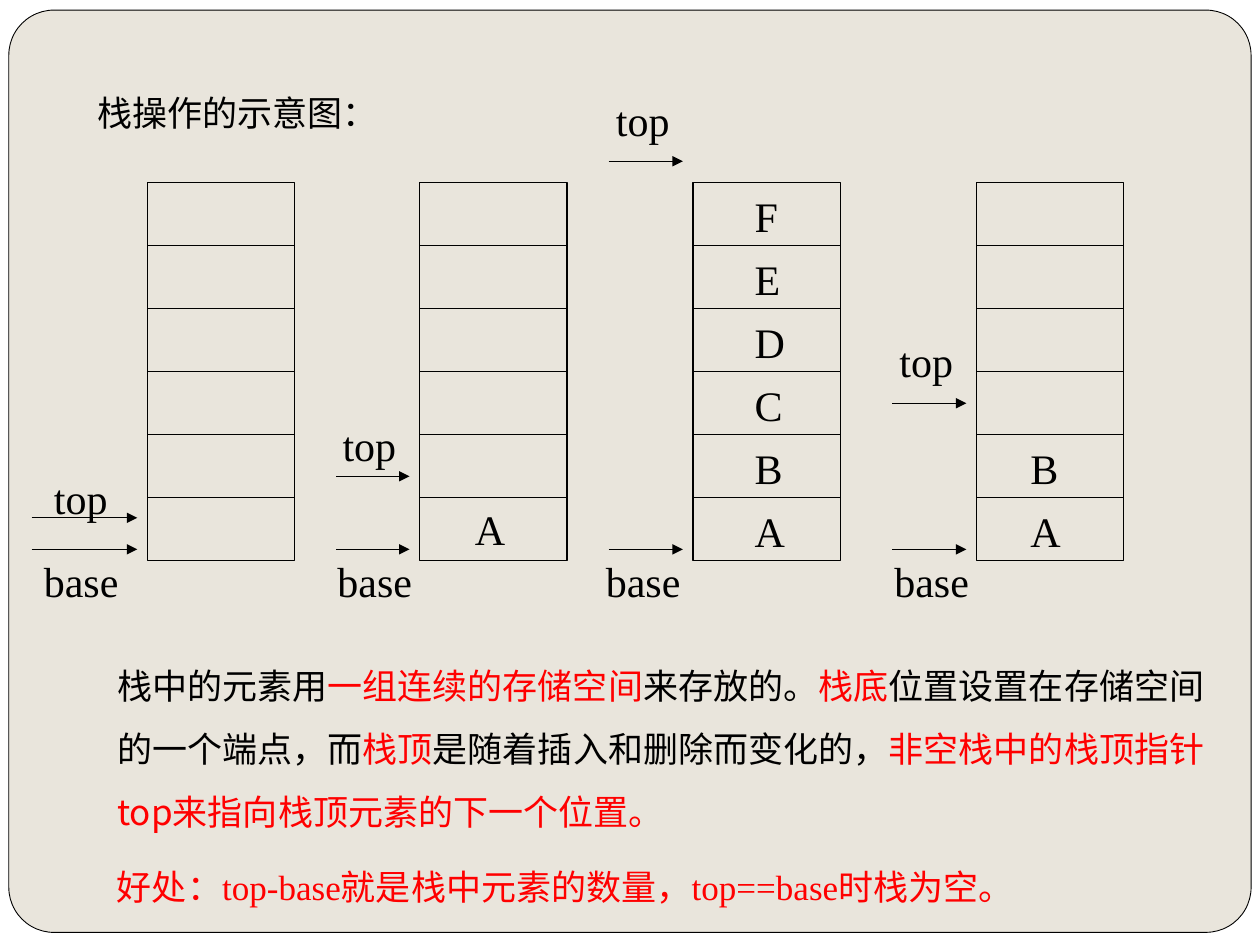
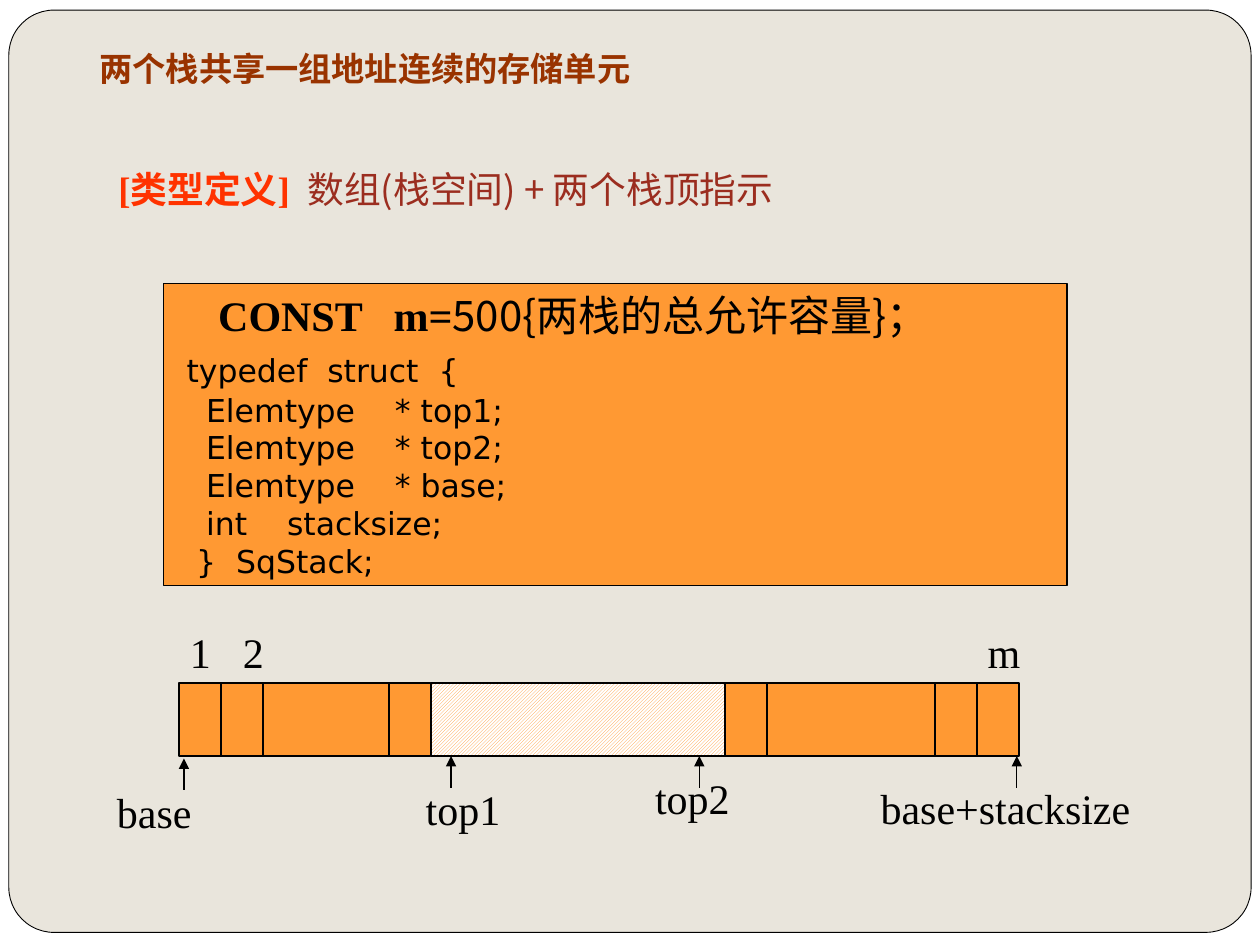
from lxml import etree
from pptx import Presentation
from pptx.dml.color import RGBColor
from pptx.enum.dml import MSO_PATTERN
from pptx.enum.shapes import MSO_CONNECTOR, MSO_SHAPE
from pptx.enum.text import MSO_ANCHOR, MSO_AUTO_SIZE, PP_ALIGN
from pptx.oxml.ns import qn
from pptx.util import Inches, Pt

RECTANGLE = MSO_SHAPE.RECTANGLE
ROUNDED = MSO_SHAPE.ROUNDED_RECTANGLE
STRAIGHT = MSO_CONNECTOR.STRAIGHT
TOP, MIDDLE = MSO_ANCHOR.TOP, MSO_ANCHOR.MIDDLE
HATCH = MSO_PATTERN.LIGHT_UPWARD_DIAGONAL
color = RGBColor.from_string

BLACK, WHITE, PAPER = "000000", "FFFFFF", "E9E5DC"
RED, ORANGE = "FF0000", "FF9933"
SERIF, CJK, CODE, HEADING = "Times New Roman", "Noto Sans CJK SC", "DejaVu Sans", "Roboto"


def write(shape, area, paragraphs, spacing=1.0, anchor=TOP, tab=None):
    shape.left, shape.top, shape.width, shape.height = [Inches(value) for value in area]
    frame = shape.text_frame
    frame.word_wrap = True
    frame.auto_size = MSO_AUTO_SIZE.NONE
    frame.vertical_anchor = anchor
    for index, spans in enumerate(paragraphs):
        para = frame.add_paragraph() if index else frame.paragraphs[0]
        properties = para._p.get_or_add_pPr()
        properties.set("marL", "0")
        properties.set("indent", "0")
        etree.SubElement(properties, qn("a:buNone"))
        if tab:
            tabs = etree.SubElement(properties, qn("a:tabLst"))
            etree.SubElement(tabs, qn("a:tab"), pos=str(Inches(tab)), algn="l")
        para.alignment = PP_ALIGN.LEFT
        para.line_spacing = spacing
        para.space_before = Pt(0)
        for text, size, typeface, ink, bold in spans:
            span = para.add_run()
            span.text = text
            span.font.size = Pt(size)
            span.font.name = typeface
            span.font.bold = bold
            span.font.color.rgb = color(ink)
            etree.SubElement(span.font._element, qn("a:ea"), typeface=CJK)


def add_line(shapes, start, end, arrow=False):
    line = shapes.add_connector(STRAIGHT, *[Inches(value) for value in start + end])
    line.line.color.rgb = color(BLACK)
    line.line.width = Pt(0.75)
    if arrow:
        etree.SubElement(line.line._get_or_add_ln(), qn("a:tailEnd"), type="triangle")
    etree.SubElement(line._element.spPr, qn("a:effectLst"))


deck = Presentation()
deck.slide_width, deck.slide_height = Inches(10), Inches(7.5)
layout = deck.slide_layouts[1]
master = deck.slide_master
master.background.fill.solid()
master.background.fill.fore_color.rgb = color(PAPER)

# The shared frame is drawn once and moved to the master.
stack_page = deck.slides.add_slide(layout)
for index, (kind, area, fill) in enumerate([
    (RECTANGLE, (0, 0, 10, 7.5), WHITE),
    (ROUNDED, (0.07, 0.08, 9.86, 7.32), PAPER),
]):
    panel = stack_page.shapes.add_shape(kind, *[Inches(value) for value in area])
    panel.shadow.inherit = False
    panel.fill.solid()
    panel.fill.fore_color.rgb = color(fill)
    if kind == ROUNDED:
        panel.adjustments[0] = 0.049
        panel.line.color.rgb = color(BLACK)
        panel.line.width = Pt(0.5)
    else:
        panel.line.fill.background()
    panel._element.nvSpPr.cNvPr.set("id", str(101 + index))
    master.shapes.element.insert(2 + index, panel._element)

write(stack_page.shapes.title, (0.67, 0.68, 2.76, 0.44),
      [[("栈操作的示意图：", 20, SERIF, BLACK, False)]])

explanation = [
    ("栈中的元素用", BLACK), ("一组连续的存储空间", RED), ("来存放的。", BLACK),
    ("栈底", RED), ("位置设置在存储空间的一个端点，而", BLACK), ("栈顶", RED),
    ("是随着插入和删除而变化的，", BLACK),
    ("非空栈中的栈顶指针top来指向栈顶元素的下一个位置。", RED),
]
write(stack_page.placeholders[1], (0.83, 5.06, 8.94, 1.61),
      [[(text, 20, CJK, ink, False) for text, ink in explanation]], spacing=1.5)

STACK_TOP, STACK_WIDTH, CELL_HEIGHT, CELLS = 1.45, 1.17, 0.5, 6
BASE_ARROW = 4.36
stacks = [
    (1.17, 0.25, 4.11, (0.33, 3.7), 0.25),
    (3.33, 2.67, 3.78, (2.62, 3.28), 2.58),
    (5.5, 4.83, 1.28, (4.79, 0.7), 4.71),
    (7.75, 7.08, 3.2, (7.04, 2.61), 7.0),
]
labels = []
for left, arrow_left, top_arrow, top_place, base_left in stacks:
    group = stack_page.shapes.add_group_shape()
    outline = group.shapes.add_shape(RECTANGLE, Inches(left), Inches(STACK_TOP),
                                     Inches(STACK_WIDTH), Inches(CELLS * CELL_HEIGHT))
    outline.shadow.inherit = False
    outline.fill.background()
    outline.line.color.rgb = color(BLACK)
    outline.line.width = Pt(0.75)
    for row in range(1, CELLS):
        y = STACK_TOP + row * CELL_HEIGHT
        add_line(group.shapes, (left, y), (left + STACK_WIDTH, y))
    for y in (top_arrow, BASE_ARROW):
        add_line(stack_page.shapes, (arrow_left, y), (left - 0.08, y), arrow=True)
    labels += [("top", *top_place, 0.75), ("base", base_left, BASE_ARROW, 0.9)]

for text, left, top, width in labels:
    write(stack_page.shapes.add_textbox(0, 0, 0, 0), (left, top, width, 0.5),
          [[(text, 24, SERIF, BLACK, False)]])

for letters, left, top, spacing in [
    ("A", 3.67, 3.95, 1.0), ("FEDCBA", 5.89, 1.36, 1.25), ("BA", 8.08, 3.36, 1.25),
]:
    write(stack_page.shapes.add_textbox(0, 0, 0, 0),
          (left, top, 0.5, CELL_HEIGHT * len(letters) + 0.1),
          [[(letter, 24, SERIF, BLACK, False)] for letter in letters], spacing=spacing)

write(stack_page.shapes.add_textbox(0, 0, 0, 0), (0.83, 6.82, 8.5, 0.44),
      [[("好处：top-base就是栈中元素的数量，top==base时栈为空。", 20, SERIF, RED, False)]])

shared_page = deck.slides.add_slide(layout)
write(shared_page.shapes.title, (0.69, 0.33, 8.69, 0.71),
      [[("两个栈共享一组地址连续的存储单元", 19, HEADING, "993300", True)]])
write(shared_page.placeholders[1], (0.84, 1.27, 8.41, 0.6),
      [[("[类型定义]\t", 21, SERIF, "FF3300", True),
        ("数组(栈空间) + 两个栈顶指示", 21, CJK, "9B2D1F", False)]], tab=1.85)

STRIP_LEFT, STRIP_TOP, STRIP_HEIGHT, UNIT = 1.42, 5.42, 0.58, 1 / 3
STRIP_BOTTOM = STRIP_TOP + STRIP_HEIGHT
code_area = (1.3, 2.25, 7.17, 2.4)
blocks = [(code_area, False)] + [
    ((STRIP_LEFT + first * UNIT, STRIP_TOP, (last - first) * UNIT, STRIP_HEIGHT), free)
    for first, last, free in [(0, 6, False), (6, 13, True), (13, 20, False)]
]
for area, free in blocks:
    block = shared_page.shapes.add_shape(RECTANGLE, *[Inches(value) for value in area])
    block.shadow.inherit = False
    block.line.color.rgb = color(BLACK)
    block.line.width = Pt(0.75)
    if free:
        block.fill.patterned()
        block.fill.pattern = HATCH
        block.fill.back_color.rgb = color(WHITE)
    else:
        block.fill.solid()
    block.fill.fore_color.rgb = color(ORANGE)
    if area == code_area:
        code_lines = [
            [("    ", 24, SERIF, BLACK, False), ("CONST   m=", 24, SERIF, BLACK, True),
             ("500{两栈的总允许容量}；", 24, CJK, BLACK, False)],
            [(" ", 24, SERIF, BLACK, True), ("typedef  struct  {", 18, CODE, BLACK, False)],
        ]
        code_lines += [[(text, 18, CODE, BLACK, False)] for text in (
            "   Elemtype    * top1;", "   Elemtype    * top2;", "   Elemtype    * base;",
            "   int    stacksize;", "  }  SqStack;")]
        write(block, area, code_lines, anchor=MIDDLE)

for unit in (1, 2, 5, 14, 18, 19):
    x = STRIP_LEFT + unit * UNIT
    add_line(shared_page.shapes, (x, STRIP_TOP), (x, STRIP_BOTTOM))

for x, bottom in [(1.46, 6.27), (3.58, 6.25), (5.55, 6.25), (8.07, 6.25)]:
    add_line(shared_page.shapes, (x, bottom), (x, bottom - 0.25), arrow=True)

for text, left, top, width in [
    ("1", 1.41, 4.92, 0.5), ("2", 1.83, 4.92, 0.5), ("m", 7.74, 4.92, 0.6),
    ("base", 0.83, 6.19, 1.17), ("top1", 3.28, 6.17, 1.17),
    ("top2", 5.1, 6.08, 1.08), ("base+stacksize", 6.89, 6.16, 2.52),
]:
    write(shared_page.shapes.add_textbox(0, 0, 0, 0), (left, top, width, 0.5),
          [[(text, 24, SERIF, BLACK, False)]])

deck.save("out.pptx")
